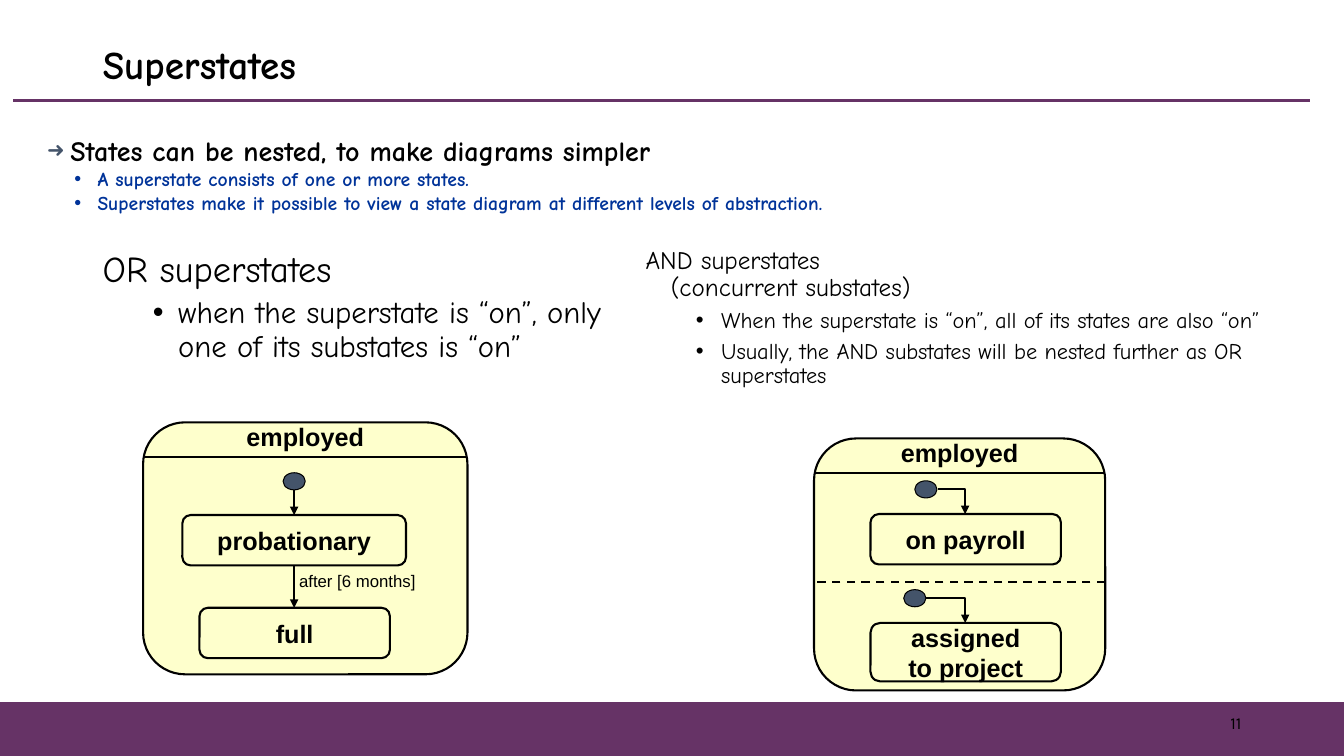
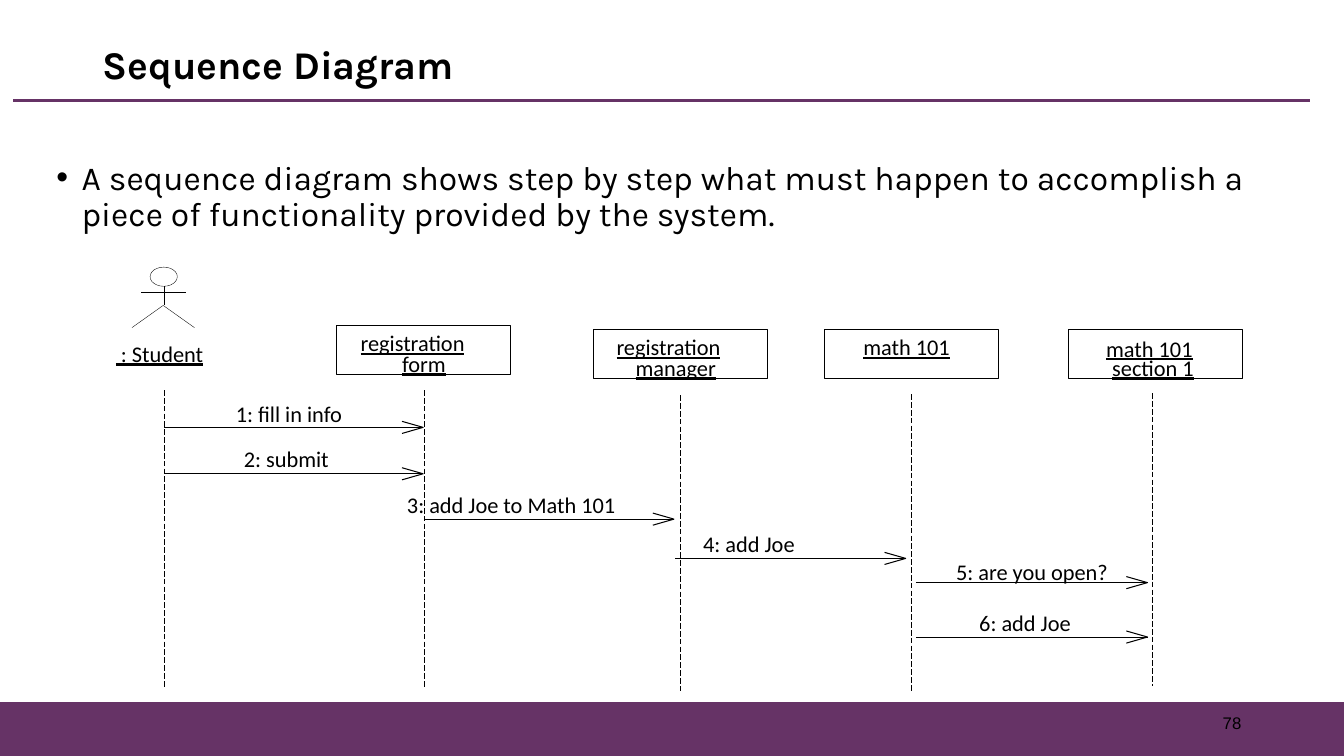
"""Build two UML slides: nested superstates and a sequence diagram."""
from pptx import Presentation
from pptx.dml.color import RGBColor
from pptx.enum.dml import MSO_LINE
from pptx.enum.shapes import MSO_CONNECTOR, MSO_SHAPE
from pptx.enum.text import MSO_ANCHOR, PP_ALIGN
from pptx.oxml.ns import qn
from pptx.oxml.xmlchemy import OxmlElement
from pptx.util import Inches, Pt

RECT, ROUND, OVAL = MSO_SHAPE.RECTANGLE, MSO_SHAPE.ROUNDED_RECTANGLE, MSO_SHAPE.OVAL
STRAIGHT, ELBOW = MSO_CONNECTOR.STRAIGHT, MSO_CONNECTOR.ELBOW
LEFT, CENTER, RIGHT = PP_ALIGN.LEFT, PP_ALIGN.CENTER, PP_ALIGN.RIGHT
TOP, MIDDLE = MSO_ANCHOR.TOP, MSO_ANCHOR.MIDDLE
DASH, LONG_DASH = MSO_LINE.DASH, MSO_LINE.LONG_DASH

BLACK, PURPLE, SLATE, BLUE, CREAM = "000000", "663366", "44546A", "003399", "FEFFCC"
COMIC, KARLA, ARIAL, CALIBRI = "Comic Neue", "Karla", "Arial", "Calibri"
INSETS, NO_INSETS = (0.1, 0.05, 0.1, 0.05), (0, 0, 0, 0)

STATE = {"name": ARIAL, "size": 18, "bold": True, "alignment": CENTER}
STATE_HEAD = {**STATE, "line_spacing": 0.5}
GUARD = {"name": ARIAL, "size": 12}
LABEL = {"name": CALIBRI, "size": 16}
OBJECT_NAME = {**LABEL, "underline": True}


def body(size, font=COMIC, **more):
    """Return the style of a body paragraph."""
    return {"name": font, "size": size, "line_spacing": 0.9, **more}


def bullet(margin, hang, char="•", color=BLACK, percent=100):
    """Return the bullet settings of a paragraph."""
    return {"margin": margin, "hang": hang, "char": char, "color": color, "percent": percent}


HANGING = bullet(0.25, 0.25, None)
SUB = {"bullet": bullet(0.75, 0.25), "space_before": 5}
FACT = {"name": COMIC, "size": 14, "bold": True, "color": BLUE,
        "bullet": bullet(0.5, 0.23, color=BLUE)}

SUPERSTATE_TEXTS = [
    ((0.37, 1.31, 12.44, 0.94), [
        ("States can be nested, to make diagrams simpler",
         body(20, bold=True, bullet=bullet(0.23, 0.23, "➜", SLATE, 75))),
        ("A superstate consists of one or more states.", FACT),
        ("Superstates make it possible to view a state diagram at different levels of abstraction.",
         FACT)]),
    ((0.92, 2.44, 5.59, 1.4), [
        ("OR superstates", body(26, bullet=HANGING)),
        ("when the superstate is “on”, only one of its substates is “on”", body(22, **SUB))]),
    ((6.31, 2.41, 7.02, 1.6), [
        ("AND superstates\n(concurrent substates)", body(18, bullet=HANGING)),
        ("When the superstate is “on”, all of its states are also “on”", body(16, **SUB)),
        ("Usually, the AND substates will be nested further as OR superstates", body(16, **SUB))]),
]
SUPERSTATES = [
    {"name": "employed", "at": (1.42, 4.19, 3.22, 2.5),
     "states": [(["probationary"], (1.81, 5.11, 2.22, 0.5)), (["full"], (1.98, 6.03, 1.89, 0.5))],
     "starts": [(2.81, 4.69)],
     "arrows": [(2.92, 4.86, 2.92, 5.11), (2.92, 5.61, 2.92, 6.03)],
     "dividers": []},
    {"name": "employed", "at": (8.08, 4.35, 2.89, 2.5),
     "states": [(["on payroll"], (8.64, 5.1, 1.89, 0.5)),
                (["assigned", "to project"], (8.64, 6.18, 1.89, 0.58))],
     "starts": [(9.08, 4.77), (8.97, 5.85)],
     "arrows": [(9.31, 4.85, 9.58, 5.1), (9.19, 5.93, 9.58, 6.18)],
     "dividers": [5.77]},
]
HEAD_H = 0.34
START_SIZE = (0.22, 0.17)
TRANSITION = ("after [6 months]", (2.87, 5.61, 1.36, 0.3))

SEQUENCE_TEXT = ("A sequence diagram shows step by step what must happen to accomplish "
                 "a piece of functionality provided by the system.")
CHAR_W = 0.13
OBJECT_SIZE = (1.73, 0.48)
OBJECTS = [(3.34, 3.23), (5.89, 3.27), (8.18, 3.27), (10.6, 3.27)]
OBJECT_NAMES = [
    (" : Student", 1.15, 3.37), ("registration", 3.58, 3.27), ("form", 3.99, 3.47),
    ("registration", 6.12, 3.31), ("manager", 6.31, 3.51), ("math 101", 8.57, 3.31),
    ("math 101", 10.98, 3.32), ("section 1", 11.04, 3.51),
]
LIFELINES = [(1.63, 3.87, 6.82), (4.21, 3.87, 6.82), (6.75, 3.92, 6.86),
             (9.05, 3.91, 6.86), (11.44, 3.9, 6.81)]
MESSAGES = [
    ("1: fill in info", 2.34, 3.97, 1.63, 4.2, 4.24),
    ("2: submit", 2.42, 4.42, 1.63, 4.2, 4.7),
    ("3: add Joe to Math 101", 4.04, 4.87, 4.21, 6.69, 5.15),
    ("4: add Joe", 6.98, 5.26, 6.7, 8.99, 5.54),
    ("5: are you open?", 9.49, 5.54, 9.09, 11.39, 5.78),
    ("6: add Joe", 9.72, 6.04, 9.09, 11.39, 6.32),
]


def rgb(color):
    """Turn a hex string into a colour."""
    return RGBColor.from_string(color)


def add_bullet(p, margin, hang, char, color, percent):
    """Give a paragraph its hanging indent and bullet."""
    pPr = p._p.get_or_add_pPr()
    pPr.set("marL", str(Inches(margin)))
    pPr.set("indent", str(-Inches(hang)))
    if char is None:
        pPr.append(OxmlElement("a:buNone"))
        return
    buClr = OxmlElement("a:buClr")
    srgb = OxmlElement("a:srgbClr")
    srgb.set("val", color)
    buClr.append(srgb)
    pPr.append(buClr)
    for tag, key, value in (("a:buSzPct", "val", str(percent * 1000)),
                            ("a:buFont", "typeface", ARIAL), ("a:buChar", "char", char)):
        el = OxmlElement(tag)
        el.set(key, value)
        pPr.append(el)


def write(sp, paras, anchor=TOP, insets=INSETS, wrap=True):
    """Fill a shape with styled paragraphs."""
    tf = sp.text_frame
    tf.word_wrap, tf.vertical_anchor = wrap, anchor
    for side, value in zip(("left", "top", "right", "bottom"), insets):
        setattr(tf, f"margin_{side}", Inches(value))
    for i, (text, style) in enumerate(paras):
        p = tf.add_paragraph() if i else tf.paragraphs[0]
        p.text = text
        if "bullet" in style:
            add_bullet(p, **style["bullet"])
        p.alignment = style.get("alignment", LEFT)
        p.line_spacing = style.get("line_spacing", 1.0)
        p.space_before = Pt(style.get("space_before", 0))
        for r in p.runs:
            r.font.color.rgb = rgb(style.get("color", BLACK))
            r.font.size = Pt(style["size"])
            for key in ("name", "bold", "underline"):
                if key in style:
                    setattr(r.font, key, style[key])


def add_text(s, at, paras, **frame):
    """Add a text box."""
    write(s.shapes.add_textbox(*map(Inches, at)), paras, **frame)


def outline(sp, width, fill=None, line=BLACK):
    """Set the fill and outline of a shape."""
    sp.shadow.inherit = False
    if fill:
        sp.fill.solid()
        sp.fill.fore_color.rgb = rgb(fill)
    else:
        sp.fill.background()
    sp.line.color.rgb = rgb(line)
    sp.line.width = Pt(width)


def add_shape(s, kind, at, width, fill=None, line=BLACK):
    """Add a preset shape."""
    sp = s.shapes.add_shape(kind, *map(Inches, at))
    outline(sp, width, fill, line)
    return sp


def add_line(s, ends, width, color=BLACK, dash=None, arrow=False):
    """Add a straight line, or an elbow when an arrow's ends are not aligned."""
    x1, y1, x2, y2 = ends
    bent = arrow and x1 != x2 and y1 != y2
    c = s.shapes.add_connector(ELBOW if bent else STRAIGHT, *map(Inches, ends))
    spPr = c._element.spPr
    if bent:
        spPr.find(qn("a:prstGeom")).set("prst", "bentConnector2")
    c.line.color.rgb = rgb(color)
    c.line.width = Pt(width)
    if dash:
        c.line.dash_style = dash
    if arrow:
        tail = OxmlElement("a:tailEnd")
        tail.set("type", "triangle")
        spPr.find(qn("a:ln")).append(tail)
    spPr.append(OxmlElement("a:effectLst"))


def add_polyline(s, points, width):
    """Add an open outline through the points."""
    pts = [(Inches(x), Inches(y)) for x, y in points]
    builder = s.shapes.build_freeform(*pts[0])
    builder.add_line_segments(pts[1:], close=False)
    outline(builder.convert_to_shape(), width)


def add_slide(prs, title, number, title_font, number_font):
    """Add a slide with the shared title, rule, band and page number."""
    s = prs.slides.add_slide(prs.slide_layouts[5])
    sp = s.shapes.title
    sp.left, sp.top, sp.width, sp.height = map(Inches, (0.92, 0.3, 11.5, 0.73))
    write(sp, [(title, body(28, title_font, bold=True))], anchor=MIDDLE)
    add_shape(s, RECT, (0, 6.97, 13.34, 0.53), 1, PURPLE, PURPLE)
    add_line(s, (0.13, 1, 13, 1), 2.25, PURPLE)
    add_text(s, (9.42, 6.97, 3, 0.4),
             [(number, {"name": number_font, "size": 12, "alignment": RIGHT})], anchor=MIDDLE)
    return s


def add_superstate(s, name, at, states, starts, arrows, dividers):
    """Draw a superstate with its substates."""
    x, y, w, _ = at
    write(add_shape(s, ROUND, at, 1.5, CREAM), [(name, STATE_HEAD)], insets=NO_INSETS, wrap=False)
    add_line(s, (x, y + HEAD_H, x + w, y + HEAD_H), 1.5)
    for divider in dividers:
        add_line(s, (x + w, divider, x, divider), 1.5, dash=DASH)
    for lines, place in states:
        write(add_shape(s, ROUND, place, 1.5), [(line, STATE) for line in lines],
              anchor=MIDDLE, wrap=False)
    for start in starts:
        add_shape(s, OVAL, start + START_SIZE, 0.75, SLATE)
    for ends in arrows:
        add_line(s, ends, 1.5, arrow=True)


def add_actor(s):
    """Draw the stick figure of the student."""
    add_shape(s, OVAL, (1.49, 2.65, 0.27, 0.19), 0.25)
    add_line(s, (1.63, 2.84, 1.63, 3.03), 0.25)
    add_line(s, (1.4, 2.9, 1.85, 2.9), 0.25)
    add_polyline(s, [(1.31, 3.25), (1.62, 3.03), (1.93, 3.25)], 0.25)


def add_label(s, text, x, y, style):
    """Add a one-line label of the sequence diagram."""
    add_text(s, (x, y, CHAR_W * len(text), 0.27), [(text, style)], insets=NO_INSETS, wrap=False)


def superstates(prs):
    """Build the superstates slide."""
    s = add_slide(prs, "Superstates", "11", COMIC, KARLA)
    for at, paras in SUPERSTATE_TEXTS:
        add_text(s, at, paras)
    for superstate in SUPERSTATES:
        add_superstate(s, **superstate)
    text, at = TRANSITION
    add_text(s, at, [(text, GUARD)], wrap=False)


def sequence(prs):
    """Build the sequence diagram slide."""
    s = add_slide(prs, "Sequence Diagram", "78", KARLA, ARIAL)
    add_text(s, (0.44, 1.54, 12.45, 0.9),
             [(SEQUENCE_TEXT, body(24, KARLA, bullet=bullet(0.25, 0.25)))],
             insets=(0.12, 0.06, 0.12, 0.06))
    add_actor(s)
    for corner in OBJECTS:
        add_shape(s, RECT, corner + OBJECT_SIZE, 0.5)
    for name, x, y in OBJECT_NAMES:
        add_label(s, name, x, y, OBJECT_NAME)
    for x, top, bottom in LIFELINES:
        add_line(s, (x, top, x, bottom), 0.5, dash=LONG_DASH)
    for text, x, y, start, end, level in MESSAGES:
        add_line(s, (start, level, end, level), 0.5)
        back = end - 0.21
        add_polyline(s, [(back, level - 0.06), (end, level), (back, level + 0.06)], 0.75)
        add_label(s, text, x, y, LABEL)


def main():
    """Build and save the presentation."""
    prs = Presentation()
    prs.slide_width, prs.slide_height = Inches(13.34), Inches(7.5)
    superstates(prs)
    sequence(prs)
    prs.save("out.pptx")


if __name__ == "__main__":
    main()
